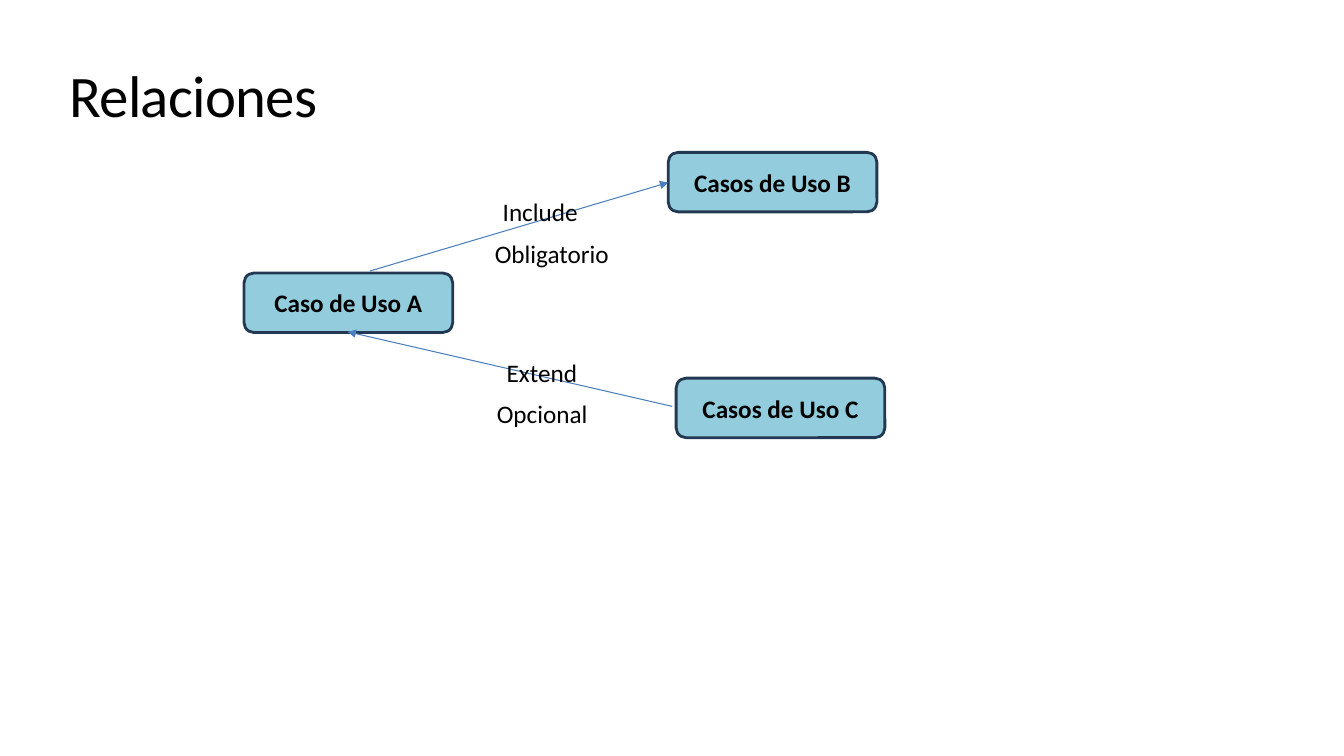
"""Build the slide on the relations between use cases."""

from dataclasses import dataclass

from lxml.etree import SubElement
from pptx import Presentation
from pptx.dml.color import RGBColor
from pptx.enum.shapes import MSO_CONNECTOR, MSO_SHAPE
from pptx.enum.text import MSO_ANCHOR, MSO_AUTO_SIZE, PP_ALIGN
from pptx.oxml.ns import qn
from pptx.slide import Slide
from pptx.text.text import _Paragraph as Paragraph
from pptx.util import Cm, Pt


@dataclass(frozen=True)
class Theme:
    """Colours, type and line sizes of the slide."""

    font: str = "Calibri"
    ink: RGBColor = RGBColor.from_string("000000")
    case_fill: RGBColor = RGBColor.from_string("93CDDD")
    case_line: RGBColor = RGBColor.from_string("233953")
    arrow: RGBColor = RGBColor.from_string("4B7EBC")
    title_size: float = 42
    body_size: float = 18
    case_width: float = 2
    arrow_width: float = 0.75


@dataclass(frozen=True)
class UseCase:
    """A use case and its top left corner in centimetres."""

    name: str
    left: float
    top: float


@dataclass(frozen=True)
class Relation:
    """An arrow between two points in centimetres."""

    start: tuple[float, float]
    end: tuple[float, float]


@dataclass(frozen=True)
class Label:
    """A caption with its place and width in centimetres."""

    text: str
    left: float
    top: float
    width: float


THEME = Theme()
CASE_WIDTH, CASE_HEIGHT = Cm(5.26), Cm(1.5)
LABEL_HEIGHT = Cm(1.02)

USE_CASES = (
    UseCase("Caso de Uso A", 6.15, 6.88),
    UseCase("Casos de Uso B", 16.84, 3.84),
    UseCase("Casos de Uso C", 17.04, 9.53),
)
RELATIONS = (
    Relation((16.94, 10.24), (8.76, 8.36)),
    Relation((9.32, 6.83), (16.84, 4.6)),
)
LABELS = (
    Label("Include", 12.42, 4.83, 2.44),
    Label("Extend", 12.52, 8.89, 2.31),
    Label("Obligatorio", 12.22, 5.89, 3.4),
    Label("Opcional", 12.27, 9.91, 2.82),
)


def add_span(para: Paragraph, text: str, size: float, bold: bool = False) -> None:
    """Add a run in the theme font."""
    span = para.add_run()
    span.text = text
    span.font.name = THEME.font
    span.font.size = Pt(size)
    span.font.bold = bold
    span.font.color.rgb = THEME.ink


def add_title(page: Slide, text: str) -> None:
    """Add the slide title with slightly tightened letters."""
    box = page.shapes.add_textbox(Cm(1.75), Cm(1.42), Cm(12.62), Cm(1.85))
    frame = box.text_frame
    frame.word_wrap = True
    frame.margin_left = frame.margin_right = frame.margin_bottom = 0
    frame.margin_top = Cm(0.23)
    para = frame.paragraphs[0]
    para.line_spacing = Pt(45.4)
    para.space_before = Pt(6.7)
    add_span(para, text, THEME.title_size)
    for properties in box.element.iter(qn("a:rPr")):
        properties.set("spc", "-50")


def add_use_case(page: Slide, case: UseCase) -> None:
    """Add a rounded box that names a use case."""
    box = page.shapes.add_shape(
        MSO_SHAPE.ROUNDED_RECTANGLE, Cm(case.left), Cm(case.top), CASE_WIDTH, CASE_HEIGHT
    )
    box.shadow.inherit = False
    box.fill.solid()
    box.fill.fore_color.rgb = THEME.case_fill
    box.line.color.rgb = THEME.case_line
    box.line.width = Pt(THEME.case_width)
    box.text_frame.vertical_anchor = MSO_ANCHOR.MIDDLE
    para = box.text_frame.paragraphs[0]
    para.alignment = PP_ALIGN.CENTER
    add_span(para, case.name, THEME.body_size, bold=True)


def add_relation(page: Slide, relation: Relation) -> None:
    """Add an arrow that points at the end of a relation."""
    points = [Cm(value) for value in relation.start + relation.end]
    arrow = page.shapes.add_connector(MSO_CONNECTOR.STRAIGHT, *points)
    arrow.line.color.rgb = THEME.arrow
    arrow.line.width = Pt(THEME.arrow_width)
    SubElement(arrow.get_or_add_ln(), qn("a:tailEnd"), type="triangle")
    SubElement(arrow.element.spPr, qn("a:effectLst"))


def add_label(page: Slide, label: Label) -> None:
    """Add a caption beside a relation."""
    box = page.shapes.add_textbox(
        Cm(label.left), Cm(label.top), Cm(label.width), LABEL_HEIGHT
    )
    box.text_frame.word_wrap = False
    box.text_frame.auto_size = MSO_AUTO_SIZE.SHAPE_TO_FIT_TEXT
    add_span(box.text_frame.paragraphs[0], label.text, THEME.body_size)


def main() -> None:
    """Build the deck and save it."""
    deck = Presentation()
    deck.slide_width, deck.slide_height = Cm(33.87), Cm(19.05)
    page = deck.slides.add_slide(deck.slide_layouts[6])
    add_title(page, "Relaciones")
    for case in USE_CASES:
        add_use_case(page, case)
    for relation in RELATIONS:
        add_relation(page, relation)
    for label in LABELS:
        add_label(page, label)
    deck.save("out.pptx")


if __name__ == "__main__":
    main()
